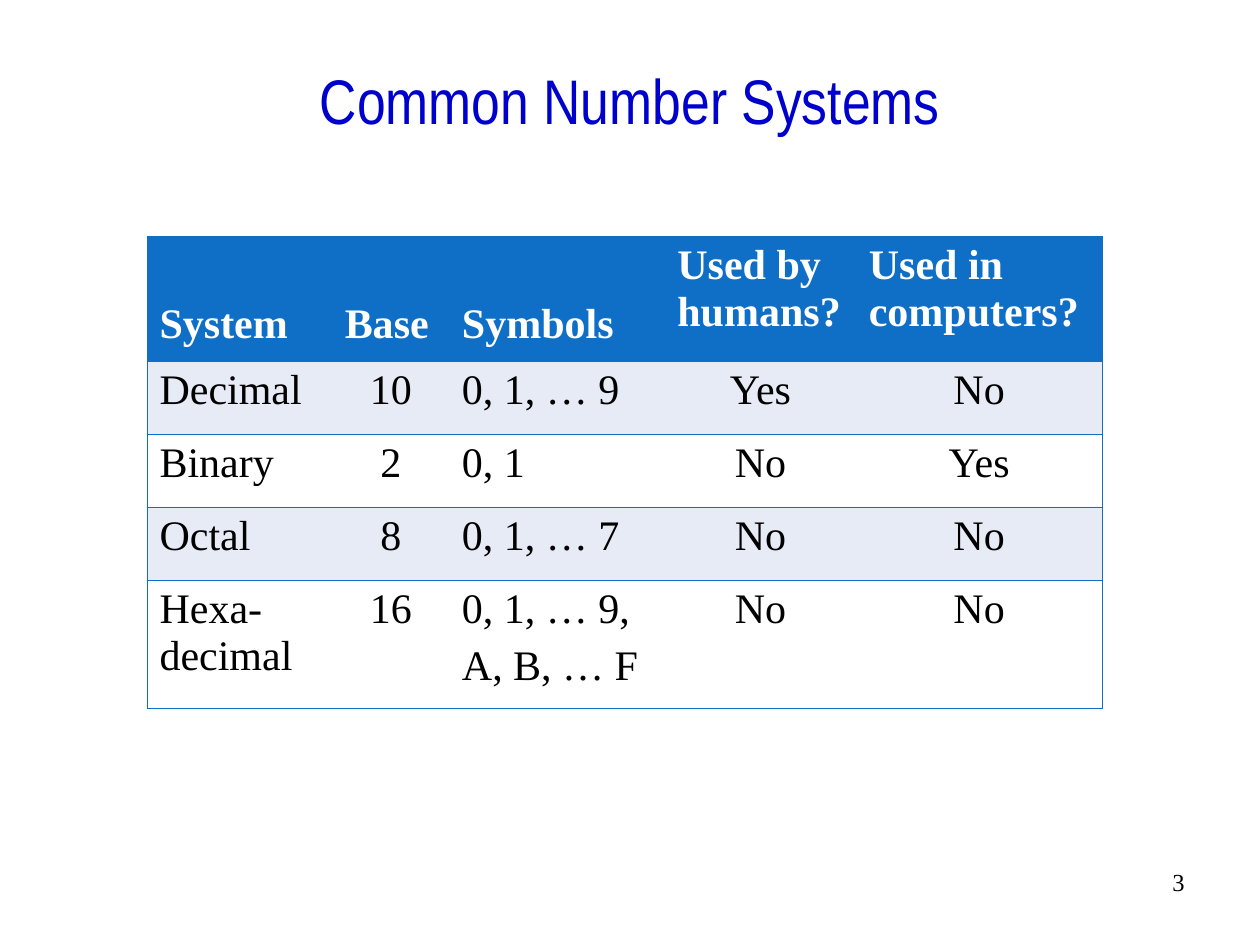
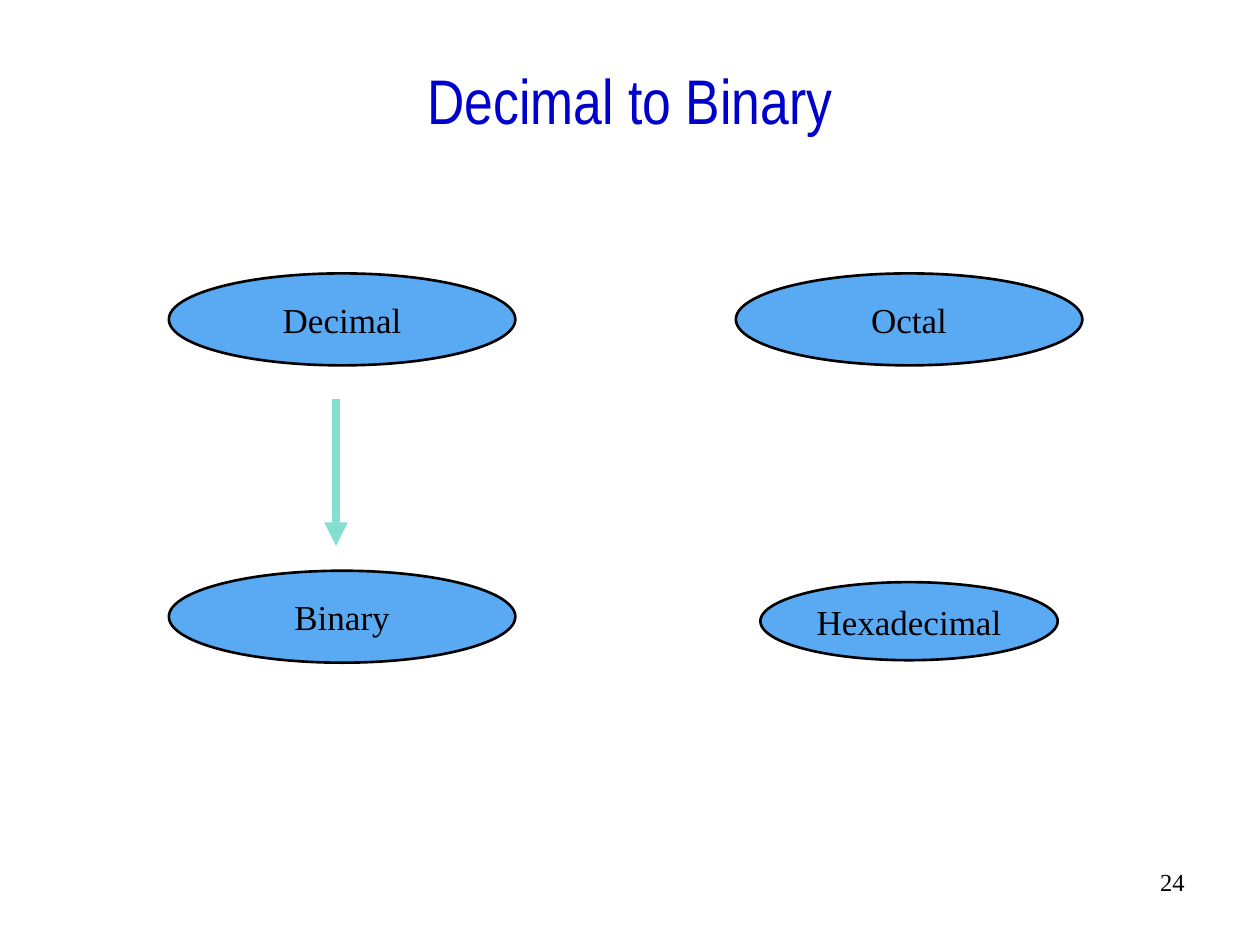
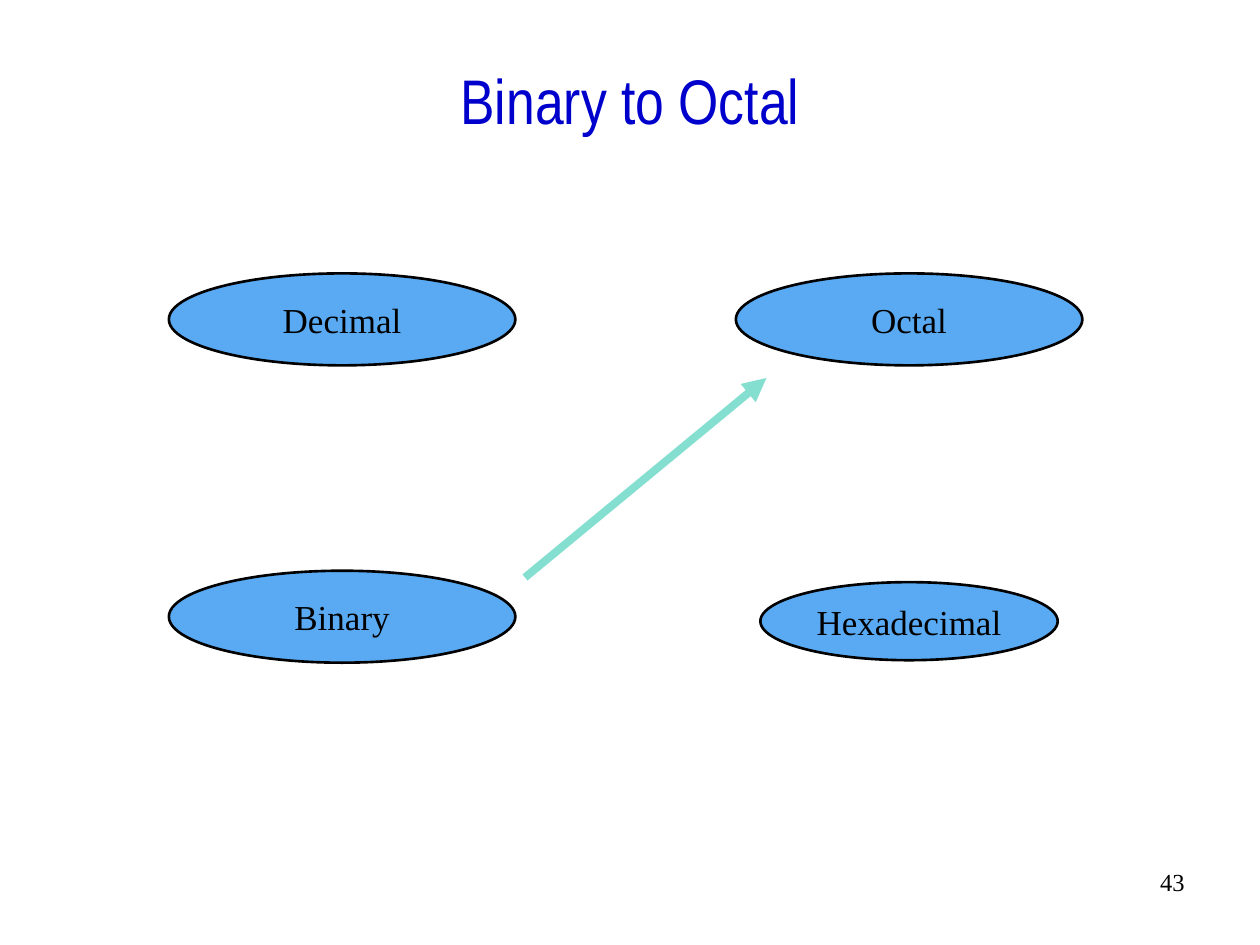
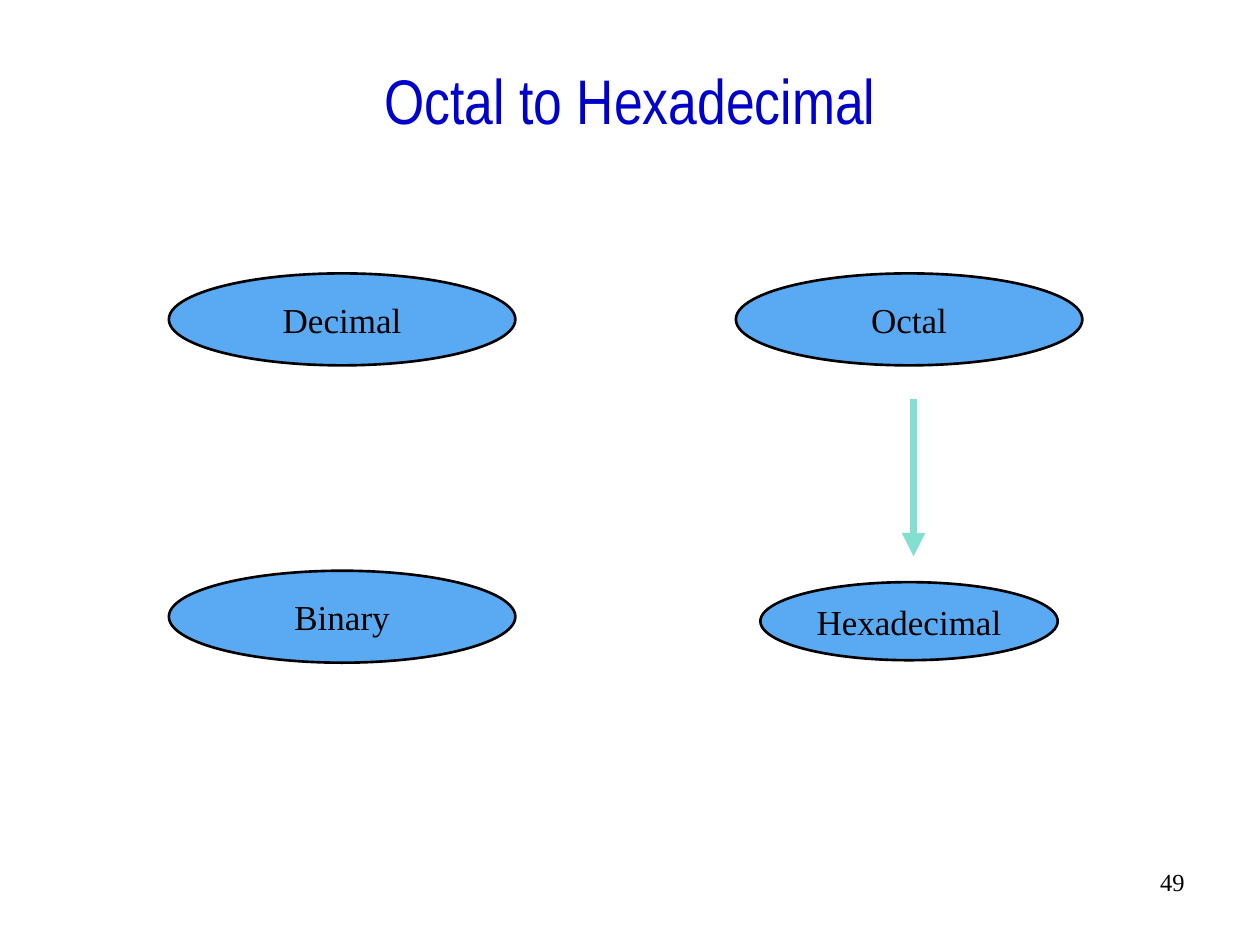
import pptx
import pptx.util
import pptx.dml.color
import pptx.enum.dml
import pptx.enum.shapes
import pptx.enum.text
import pptx.oxml
import lxml.etree
from dataclasses import dataclass

ALIGN = pptx.enum.text.PP_ALIGN
ANCHOR = pptx.enum.text.MSO_ANCHOR
SHAPES = pptx.enum.shapes.MSO_SHAPE
Pt = pptx.util.Pt

SYSTEMS_TITLE = "Common Number Systems"
SYSTEMS_PAGE = "3"
HEADINGS = ["System", "Base", "Symbols", "Used by humans?", "Used in computers?"]
SYSTEMS = [
    ["Decimal", "10", "0, 1, … 9", "Yes", "No"],
    ["Binary", "2", "0, 1", "No", "Yes"],
    ["Octal", "8", "0, 1, … 7", "No", "No"],
    ["Hexa-\ndecimal", "16", ("0, 1, … 9,", "A, B, … F"), "No", "No"],
]
CENTRED_COLUMNS = {1, 3, 4}
LOW_HEADINGS = {0, 1, 2}

CONVERSIONS = [
    {"title": "Decimal to Binary", "page": "24", "arrow": (32, 38, 32, 52)},
    {"title": "Binary to Octal", "page": "43", "arrow": (50, 55, 73, 36)},
    {"title": "Octal to Hexadecimal", "page": "49", "arrow": (87, 38, 87, 53)},
]

GRID_COLUMNS, GRID_ROWS = 120, 90
TITLE_AREA = (2, 4, 116, 11)
PAGE_AREA = (89, 82, 25, 6)
TABLE_CORNER = (14, 22.5)
COLUMN_SPANS = [17.64, 11.16, 20.52, 18.24, 23.4]
ROW_SPANS = [11.88, 6.96, 6.96, 6.96, 12.24]
LEFT_CENTRE, RIGHT_CENTRE = 32.58, 86.58
WIDE_OVAL, SMALL_OVAL = (33, 8.76), (28.32, 7.44)
OVALS = [
    ("Hexadecimal", RIGHT_CENTRE, 59.16, SMALL_OVAL),
    ("Decimal", LEFT_CENTRE, 30.42, WIDE_OVAL),
    ("Octal", RIGHT_CENTRE, 30.42, WIDE_OVAL),
    ("Binary", LEFT_CENTRE, 58.74, WIDE_OVAL),
]


@dataclass(frozen=True)
class Theme:
    title_font: str = "Arial Narrow"
    body_font: str = "Times New Roman"
    title_size: float = 36
    table_size: float = 24
    oval_size: float = 20
    page_size: float = 14
    title: str = "0000CC"
    ink: str = "000000"
    paper: str = "FFFFFF"
    accent: str = "0F6FC6"
    stripe: str = "E7EBF5"
    oval: str = "59AAF2"
    arrow: str = "85DFD0"
    border: float = 0.45
    outline: float = 1.5
    arrow_width: float = 4.5
    paragraph_gap: float = 6
    heading_drop: float = 0.11
    plain_table: str = "{2D5ABB26-0587-4C30-8999-92F81FD0307C}"


THEME = Theme()
deck = pptx.Presentation()
deck.slide_width, deck.slide_height = pptx.util.Inches(10), pptx.util.Inches(7.5)


def across(columns):
    return round(deck.slide_width * columns / GRID_COLUMNS)


def down(rows):
    return round(deck.slide_height * rows / GRID_ROWS)


def area(left, top, width, height):
    return across(left), down(top), across(width), down(height)


def rgb(colour):
    return pptx.dml.color.RGBColor.from_string(colour)


def apply(target, **values):
    for key, value in values.items():
        setattr(target, key, value)


def write(frame, text, size, colour=THEME.ink, align=ALIGN.LEFT,
          font=THEME.body_font, bold=False):
    lines = (text,) if isinstance(text, str) else text
    for index, line in enumerate(lines):
        paragraph = frame.add_paragraph() if index else frame.paragraphs[0]
        paragraph.text = line
        paragraph.alignment = align
        if index:
            paragraph.space_before = Pt(THEME.paragraph_gap)
        for run in paragraph.runs:
            apply(run.font, name=font, size=Pt(size), bold=bold)
            run.font.color.rgb = rgb(colour)


def add_slide(title, page):
    slide = deck.slides.add_slide(deck.slide_layouts[5])
    heading = slide.shapes.title
    places = dict(zip(("left", "top", "width", "height"), area(*TITLE_AREA)))
    apply(heading, **places)
    apply(heading.text_frame, vertical_anchor=ANCHOR.MIDDLE, word_wrap=True)
    write(heading.text_frame, title, THEME.title_size, THEME.title,
          ALIGN.CENTER, THEME.title_font)
    page_box = slide.shapes.add_textbox(*area(*PAGE_AREA))
    page_box.text_frame.word_wrap = True
    write(page_box.text_frame, page, THEME.page_size, align=ALIGN.RIGHT)
    return slide


def add_borders(cell, sides):
    properties = cell._tc.get_or_add_tcPr()
    for index, side in enumerate(sides):
        edge = pptx.oxml.parse_xml(
            f'<a:ln{side} xmlns:a="http://schemas.openxmlformats.org/drawingml/2006/main" '
            f'w="{Pt(THEME.border)}"><a:solidFill><a:srgbClr val="{THEME.accent}"/>'
            f'</a:solidFill></a:ln{side}>')
        properties.insert(index, edge)


def add_systems_table(slide):
    content = [HEADINGS] + SYSTEMS
    size = sum(COLUMN_SPANS), sum(ROW_SPANS)
    table = slide.shapes.add_table(
        len(content), len(HEADINGS), *area(*TABLE_CORNER, *size)).table
    table._tbl.tblPr[0].text = THEME.plain_table
    for column, span in zip(table.columns, COLUMN_SPANS):
        column.width = across(span)
    for row, span in zip(table.rows, ROW_SPANS):
        row.height = down(span)
    last = len(HEADINGS) - 1
    for r, entries in enumerate(content):
        header = r == 0
        fill = THEME.accent if header else THEME.stripe if r % 2 else THEME.paper
        for c, entry in enumerate(entries):
            cell = table.cell(r, c)
            cell.fill.solid()
            cell.fill.fore_color.rgb = rgb(fill)
            centred = c in CENTRED_COLUMNS and not header
            write(cell.text_frame, entry, THEME.table_size,
                  THEME.paper if header else THEME.ink,
                  ALIGN.CENTER if centred else ALIGN.LEFT, bold=header)
            if header and c in LOW_HEADINGS:
                apply(cell, vertical_anchor=ANCHOR.BOTTOM,
                      margin_bottom=pptx.util.Inches(THEME.heading_drop))
            sides = ["L"] * (c == 0) + ["R"] * (c == last) + ["T", "B"]
            add_borders(cell, sides)


def add_oval(slide, label, centre_x, centre_y, size):
    width, height = size
    oval = slide.shapes.add_shape(
        SHAPES.OVAL,
        *area(centre_x - width / 2, centre_y - height / 2, width, height))
    oval.shadow.inherit = False
    oval.fill.solid()
    oval.fill.fore_color.rgb = rgb(THEME.oval)
    oval.line.color.rgb = rgb(THEME.ink)
    oval.line.width = Pt(THEME.outline)
    apply(oval.text_frame, vertical_anchor=ANCHOR.MIDDLE, word_wrap=False)
    write(oval.text_frame, label, THEME.oval_size, align=ALIGN.CENTER)


def add_arrow(slide, x1, y1, x2, y2):
    arrow = slide.shapes.add_connector(
        pptx.enum.shapes.MSO_CONNECTOR.STRAIGHT,
        across(x1), down(y1), across(x2), down(y2))
    arrow.line.color.rgb = rgb(THEME.arrow)
    arrow.line.width = Pt(THEME.arrow_width)
    qn = pptx.oxml.ns.qn
    lxml.etree.SubElement(arrow.line._get_or_add_ln(), qn("a:tailEnd"), type="triangle")
    lxml.etree.SubElement(arrow._element.spPr, qn("a:effectLst"))


def main():
    add_systems_table(add_slide(SYSTEMS_TITLE, SYSTEMS_PAGE))
    for conversion in CONVERSIONS:
        slide = add_slide(conversion["title"], conversion["page"])
        for oval in OVALS:
            add_oval(slide, *oval)
        add_arrow(slide, *conversion["arrow"])
    deck.save("out.pptx")


if __name__ == "__main__":
    main()
